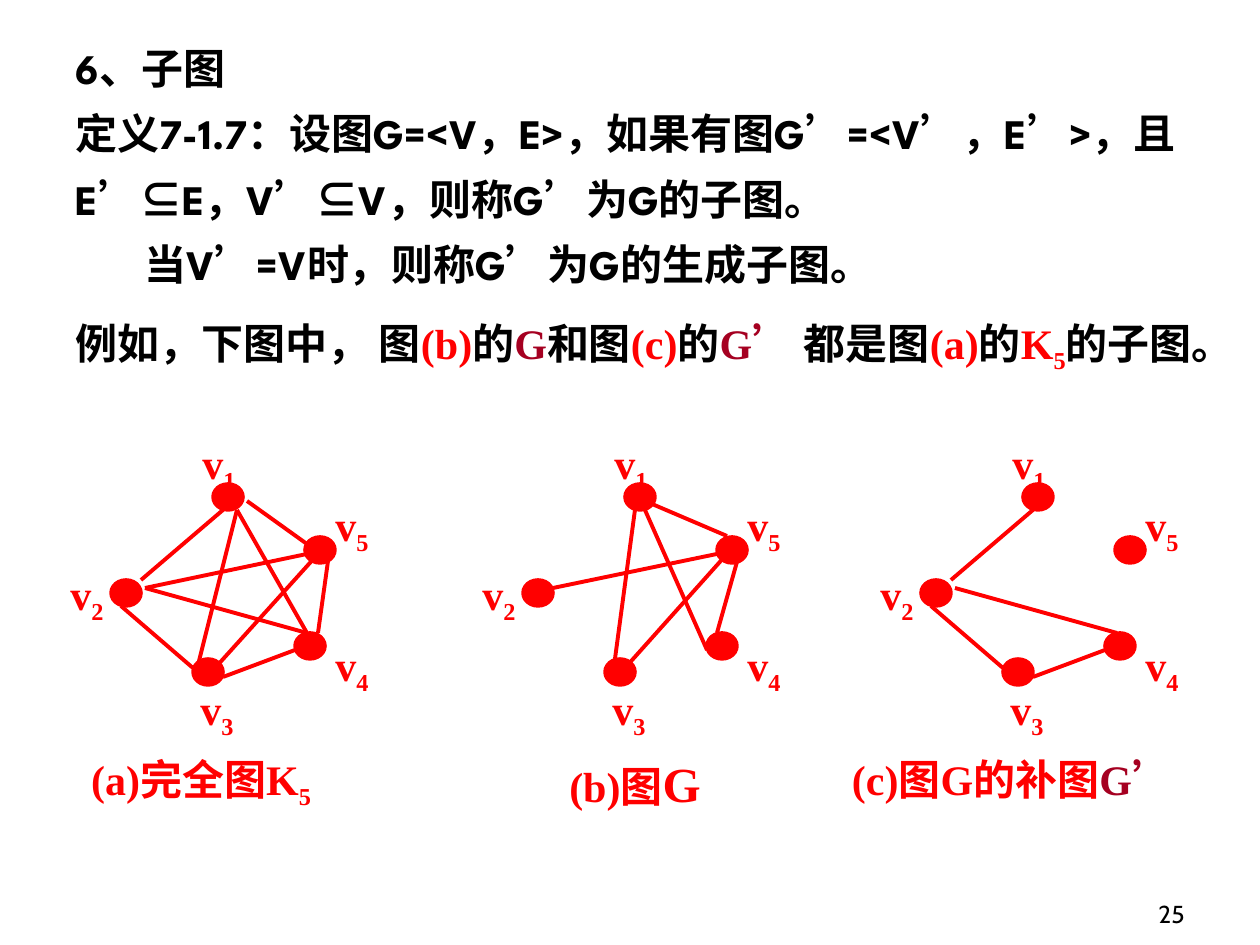
from lxml import etree
from pptx import Presentation
from pptx.dml.color import RGBColor
from pptx.enum import shapes, text
from pptx.oxml import ns
from pptx.util import Emu, Pt

PX = 914400 / 126
COLORS = {"black": "000000", "red": "FF0000", "crimson": "A50021"}
SERIF, HEADING, SYMBOL, CJK, NUMBER = (
    "Times New Roman", "League Spartan", "Arial", "Noto Sans CJK SC", "Cabin")

DOTS = {"1": (213, 484), "2": (111, 580), "3": (193, 659), "4": (295, 633), "5": (305, 537)}
LABELS = {"1": (185, 431), "2": (53, 562), "3": (183, 677), "4": (318, 633), "5": (318, 493)}
COMPLETE_EDGES = {
    "12": (223, 510, 141, 580), "13": (237, 510, 195, 677),
    "14": (237, 510, 307, 633), "15": (307, 544, 247, 501),
    "23": (193, 668, 121, 606), "24": (307, 633, 145, 588),
    "25": (307, 554, 145, 588), "34": (295, 650, 223, 677),
    "35": (318, 554, 215, 668), "45": (329, 554, 318, 633),
}
SUBGRAPH_EDGES = [
    (315, 536, 233, 501), (223, 510, 203, 659), (295, 650, 233, 510),
    (305, 633, 325, 562), (305, 554, 141, 588), (315, 554, 213, 668),
]
COMPLEMENT_EDGES = [COMPLETE_EDGES[pair] for pair in ("12", "23", "24", "34")]


def px(*lengths):
    """Turn pixel lengths into EMU."""
    return [Emu(round(length * PX)) for length in lengths]


def rgb(name):
    """Look up a colour by name."""
    return RGBColor.from_string(COLORS[name])


def add_run(paragraph, words, color="red", font=SERIF, size=24, bold=True, sub=False):
    """Append one formatted run to a paragraph."""
    run = paragraph.add_run()
    run.text = words
    run.font.name, run.font.size, run.font.bold = font, Pt(size), bold
    run.font.color.rgb = rgb(color)
    properties = run._r.get_or_add_rPr()
    etree.SubElement(properties, ns.qn("a:ea")).set("typeface", CJK)
    if sub:
        properties.set("baseline", "-25000")


def add_text(slide, box, runs, align=text.PP_ALIGN.CENTER, spacing=None):
    """Add a wrapping text box holding one paragraph of runs."""
    frame = slide.shapes.add_textbox(*px(*box)).text_frame
    frame.word_wrap = True
    paragraph = frame.paragraphs[0]
    paragraph.alignment = align
    paragraph.line_spacing = spacing
    for words, style in runs:
        add_run(paragraph, words, **style)
    return frame


def add_dot(slide, left, top):
    """Add a vertex dot."""
    dot = slide.shapes.add_shape(shapes.MSO_SHAPE.OVAL, *px(left, top, 30, 26))
    dot.shadow.inherit = False
    dot.fill.solid()
    dot.fill.fore_color.rgb = dot.line.color.rgb = rgb("red")
    dot.line.width = Pt(2)


def add_edge(slide, *ends):
    """Add a straight edge between two points."""
    edge = slide.shapes.add_connector(shapes.MSO_CONNECTOR.STRAIGHT, *px(*ends))
    edge.line.color.rgb = rgb("red")
    edge.line.width = Pt(2.25)
    etree.SubElement(edge._element.spPr, ns.qn("a:effectLst"))


def add_graph(slide, dx, edges):
    """Add a graph with its five labelled vertices, moved right by dx."""
    for x1, y1, x2, y2 in edges:
        add_edge(slide, x1 + dx, y1, x2 + dx, y2)
    for vertex, (left, top) in DOTS.items():
        add_dot(slide, left + dx, top)
    for vertex, (left, top) in LABELS.items():
        add_text(slide, (left + dx, top, 68, 70), [("v", {}), (vertex, {"sub": True})])


def fill_definition(body):
    """Write the subgraph definition into the body placeholder."""
    body.left, body.top, body.width, body.height = px(63, 21, 1166, 305)
    frame = body.text_frame
    frame.auto_size = text.MSO_AUTO_SIZE.NONE
    lines = [
        (0, ["6、子图"]),
        (0, ["定义7-1.7：设图G=<V，E>，如果有图G’=<V’，E’>，且E’", "⊆",
             "E，V’", "⊆", "V，则称G’为G的子图。"]),
        (69, ["当V’=V时，则称G’为G的生成子图。"]),
    ]
    for number, (indent, pieces) in enumerate(lines):
        paragraph = frame.add_paragraph() if number else frame.paragraphs[0]
        paragraph.line_spacing = 1.3
        paragraph.space_before = Pt(0)
        properties = paragraph._p.get_or_add_pPr()
        properties.set("marL", "0")
        properties.set("indent", str(px(indent)[0]))
        etree.SubElement(properties, ns.qn("a:buNone"))
        for piece in pieces:
            add_run(paragraph, piece, "black", SYMBOL if piece == "⊆" else HEADING)


def main():
    """Build the slide and save it."""
    deck = Presentation()
    deck.slide_width, deck.slide_height = px(1260, 945)
    slide = deck.slides.add_slide(deck.slide_layouts[1])
    title = slide.shapes.title._element
    title.getparent().remove(title)
    fill_definition(slide.placeholders[1])

    black, crimson, sub = {"color": "black"}, {"color": "crimson"}, {"sub": True}
    add_text(slide, (63, 294, 1150, 152), [
        ("例如，下图中， 图", black), ("(b)", {}), ("的", black), ("G", crimson),
        ("和图", black), ("(c)", {}), ("的", black), ("G’", crimson),
        (" 都是图", black), ("(a)", {}), ("的", black), ("K", {}), ("5", sub),
        ("的子图。", black)], text.PP_ALIGN.LEFT, 1.3)

    add_graph(slide, 0, COMPLETE_EDGES.values())
    add_graph(slide, 412, SUBGRAPH_EDGES)
    add_graph(slide, 810, COMPLEMENT_EDGES)

    add_text(slide, (73, 747, 256, 121), [("(a)完全图K", {}), ("5", sub)])
    add_text(slide, (533, 747, 204, 72), [("(b)图", {}), ("G", {"size": 28})])
    add_text(slide, (839, 747, 348, 113),
             [("(c)图G", {}), ("的补图", {"font": CJK}), ("G’", crimson)])
    page = add_text(slide, (935, 872, 262, 63), [
        ("25", {"color": "black", "font": NUMBER, "size": 14, "bold": False})],
        text.PP_ALIGN.RIGHT)
    page.vertical_anchor = text.MSO_ANCHOR.BOTTOM
    deck.save("out.pptx")


if __name__ == "__main__":
    main()
